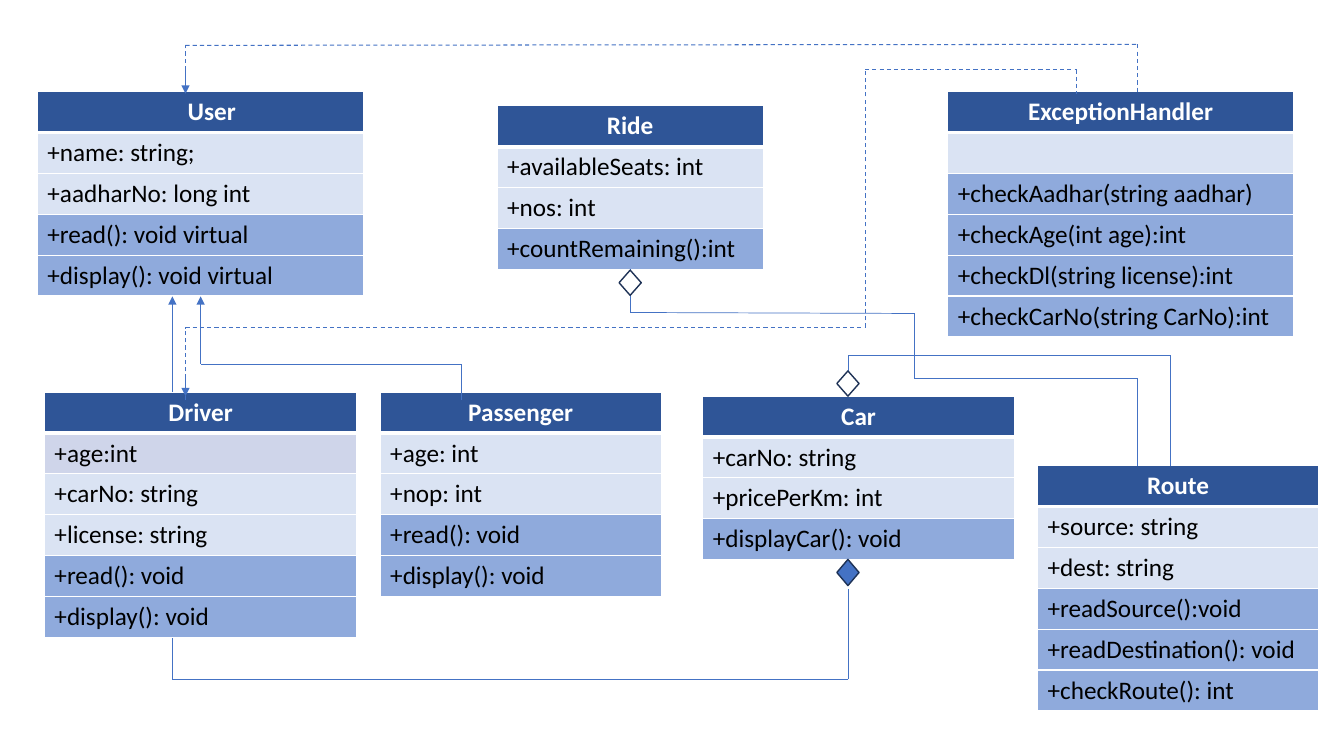
from dataclasses import dataclass
from itertools import pairwise

from lxml.etree import SubElement
from pptx import Presentation
from pptx.dml.color import RGBColor
from pptx.enum.dml import MSO_LINE
from pptx.enum.shapes import MSO_CONNECTOR, MSO_SHAPE
from pptx.enum.text import MSO_ANCHOR, PP_ALIGN
from pptx.oxml.ns import qn
from pptx.util import Inches, Pt


@dataclass(frozen=True)
class Theme:
    """Colours, font and sizes of the class diagram."""
    head: str = "2F5597"
    field: str = "DAE3F3"
    method: str = "8FAADC"
    muted: str = "CFD5EA"
    white: str = "FFFFFF"
    black: str = "000000"
    link: str = "4472C4"
    edge: str = "1E3256"
    font: str = "Calibri"
    size: float = 18
    thin: float = 0.5
    dash: float = 0.75
    rim: float = 1
    rule: float = 3


THEME = Theme()
ROW = Inches(2.43) // 6

BOXES = [
    ("User", 0.37, 0.91, 3.24, ["+name: string;", "+aadharNo: long int"],
     ["+read(): void virtual", "+display(): void virtual"]),
    ("ExceptionHandler", 9.4, 0.91, 3.43, [""],
     ["+checkAadhar(string aadhar)", "+checkAge(int age):int",
      "+checkDl(string license):int", "+checkCarNo(string CarNo):int"]),
    ("Passenger", 3.77, 3.89, 2.79, ["+age: int", "+nop: int"],
     ["+read(): void", "+display(): void"]),
    ("Driver", 0.44, 3.89, 3.1,
     ["+age:int", "+carNo: string", "+license: string"],
     ["+read(): void", "+display(): void"]),
    ("Ride", 4.93, 1.05, 2.64, ["+availableSeats: int", "+nos: int"],
     ["+countRemaining():int"]),
    ("Route", 10.29, 4.62, 2.79, ["+source: string", "+dest: string"],
     ["+readSource():void", "+readDestination(): void",
      "+checkRoute(): int"]),
    ("Car", 6.97, 3.93, 3.09, ["+carNo: string", "+pricePerKm: int"],
     ["+displayCar(): void"]),
]

DASHED = [
    [(1.84, 0.91), (1.84, 0.45), (11.28, 0.44), (11.28, 0.91)],
    [(1.84, 3.97), (1.84, 3.25), (8.58, 3.25), (8.58, 0.69),
     (10.68, 0.69), (10.68, 0.93)],
]
ARROWS = [
    [(1.71, 3.89), (1.71, 2.94)],
    [(4.58, 3.97), (4.58, 3.61), (1.99, 3.61), (1.99, 2.94)],
    [(1.84, 0.69), (1.84, 0.93)],
    [(1.84, 3.75), (1.84, 3.93)],
]
PLAIN = [
    [(1.71, 6.33), (1.71, 6.74), (8.41, 6.74), (8.41, 5.84)],
    [(11.61, 4.62), (11.61, 3.53), (8.41, 3.53), (8.41, 3.68)],
    [(11.28, 4.62), (11.28, 3.75), (9.07, 3.75), (9.07, 3.11),
     (6.25, 3.1), (6.25, 2.67)],
]
GEMS = [
    (8.3, 5.55, 0.26, THEME.link),
    (8.3, 3.68, 0.25, THEME.white),
    (6.14, 2.68, 0.25, THEME.white),
]


def style(item, values):
    """Set each format value on an item."""
    for name, value in values.items():
        setattr(item, name, value)


def paint(fill, color):
    """Give a fill one solid colour."""
    fill.solid()
    fill.fore_color.rgb = RGBColor.from_string(color)


def border(cell, top, bottom):
    """Draw white borders around a cell."""
    props = cell._tc.get_or_add_tcPr()
    sides = {"L": THEME.rim, "R": THEME.rim, "T": top, "B": bottom}
    for side, width in sides.items():
        line = SubElement(props, qn(f"a:ln{side}"), w=str(Pt(width)))
        solid = SubElement(line, qn("a:solidFill"))
        SubElement(solid, qn("a:srgbClr"), val=THEME.white)


def write(cell, text, color, fill, bold):
    """Fill a cell and write its text."""
    paint(cell.fill, fill)
    cell.vertical_anchor = MSO_ANCHOR.TOP
    para = cell.text_frame.paragraphs[0]
    para.alignment = PP_ALIGN.CENTER if bold else PP_ALIGN.LEFT
    if text:
        run = para.add_run()
        run.text = text
        style(run.font, {"name": THEME.font, "size": Pt(THEME.size),
                         "bold": bold})
        run.font.color.rgb = RGBColor.from_string(color)


def box(slide, title, left, top, width, fields, methods):
    """Add a class table with its fields and methods."""
    rows = ([(title, THEME.head)] + [(text, THEME.field) for text in fields]
            + [(text, THEME.method) for text in methods])
    table = slide.shapes.add_table(
        len(rows), 1, Inches(left), Inches(top), Inches(width),
        ROW * len(rows)).table
    for index, (text, fill) in enumerate(rows):
        cell = table.cell(index, 0)
        first = index == 0
        border(cell, THEME.rule if index == 1 else THEME.rim,
               THEME.rule if first else THEME.rim)
        write(cell, text, THEME.white if first else THEME.black, fill, first)
    return table


def link(slide, points, width, dash=None, arrow=False):
    """Join points with straight lines, with an optional end arrow."""
    for start, end in pairwise(points):
        line = slide.shapes.add_connector(
            MSO_CONNECTOR.STRAIGHT, *map(Inches, start + end))
        style(line.line, {"width": Pt(width), "dash_style": dash})
        paint(line.line.fill, THEME.link)
        if arrow and end == points[-1]:
            SubElement(line.line._get_or_add_ln(), qn("a:tailEnd"),
                       type="triangle")
        SubElement(line._element.spPr, qn("a:effectLst"))


def gem(slide, left, top, height, color):
    """Add an aggregation or composition diamond."""
    shape = slide.shapes.add_shape(
        MSO_SHAPE.DIAMOND, Inches(left), Inches(top), Inches(0.22),
        Inches(height))
    shape.shadow.inherit = False
    paint(shape.fill, color)
    paint(shape.line.fill, THEME.edge)
    shape.line.width = Pt(THEME.rim)


def main():
    """Build the class diagram and save it."""
    deck = Presentation()
    style(deck, {"slide_width": Inches(13.33), "slide_height": Inches(7.5)})
    slide = deck.slides.add_slide(deck.slide_layouts[6])
    tables = {item[0]: box(slide, *item) for item in BOXES}
    tables["User"].cell(0, 0).margin_left = Inches(0.32)
    paint(tables["Driver"].cell(1, 0).fill, THEME.muted)
    for points in DASHED:
        link(slide, points, THEME.dash, dash=MSO_LINE.DASH)
    for points in ARROWS:
        link(slide, points, THEME.thin, arrow=True)
    for points in PLAIN:
        link(slide, points, THEME.thin)
    for item in GEMS:
        gem(slide, *item)
    deck.save("out.pptx")


if __name__ == "__main__":
    main()
